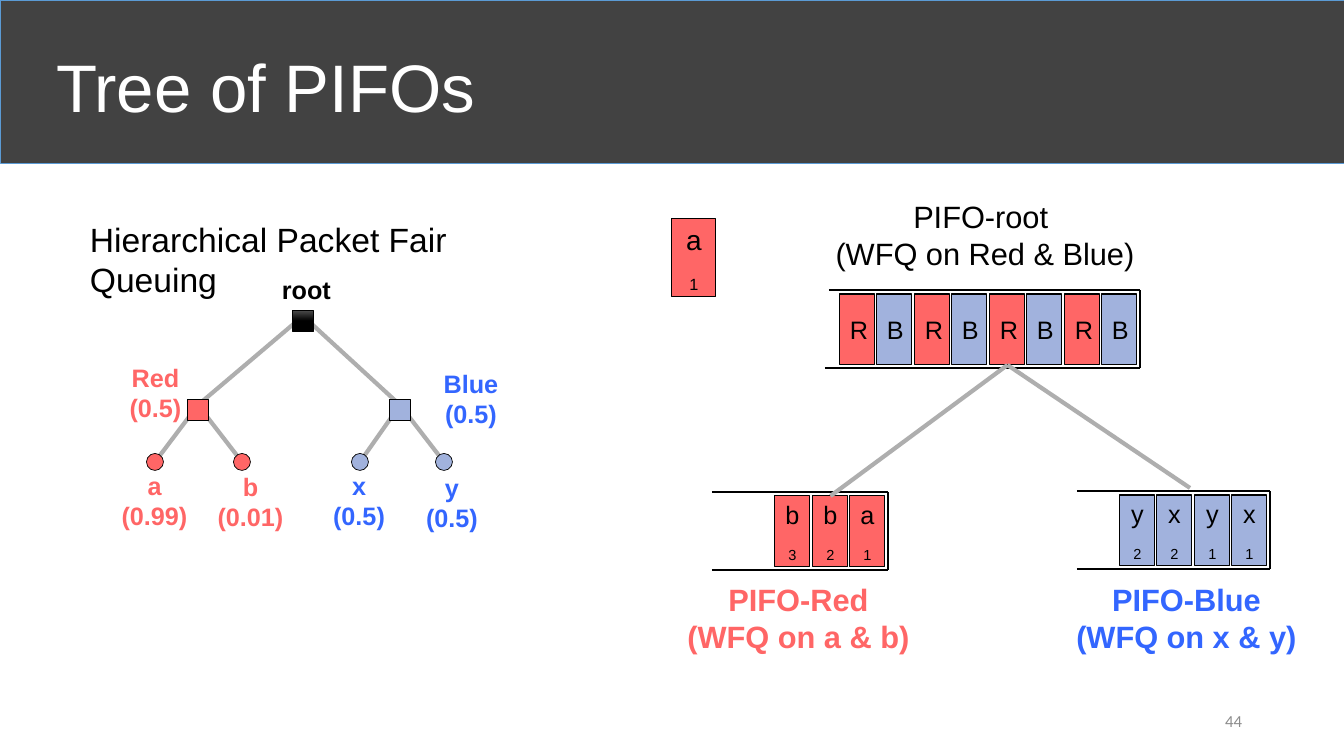
from lxml import etree
from pptx import Presentation
from pptx.dml.color import RGBColor
from pptx.enum.shapes import MSO_CONNECTOR, MSO_SHAPE
from pptx.enum.text import MSO_ANCHOR as Anchor, MSO_AUTO_SIZE as AutoSize, PP_ALIGN as Align
from pptx.oxml.ns import qn
from pptx.util import Emu, Pt

PX = 914400 / 100.8
WHITE = RGBColor(0xFF, 0xFF, 0xFF)
BLACK = RGBColor(0, 0, 0)
CHARCOAL = RGBColor(0x42, 0x42, 0x42)
BAND_EDGE = RGBColor(0x5B, 0x9B, 0xD5)
RED = RGBColor(0xFF, 0x66, 0x66)
PALE_BLUE = RGBColor(0xA1, 0xB2, 0xDD)
BLUE = RGBColor(0x33, 0x66, 0xFF)
LINK_GRAY = RGBColor(0xAE, 0xAE, 0xAE)
NUMBER_GRAY = RGBColor(0x8C, 0x8C, 0x8C)
ROOT_SHEEN = RGBColor(0x4B, 0x4B, 0x4B)

PIFO_HEIGHT = 78
CELL_WIDTH, CELL_HEIGHT = 35, 71


def px(*lengths):
    return [Emu(round(length * PX)) for length in lengths]


def add_run(para, text, size, color, bold=False, font="Arial"):
    span = para.add_run()
    span.text = text
    span.font.name = font
    span.font.size = Pt(size)
    span.font.bold = bold
    span.font.color.rgb = color
    return span


def add_label(page, box, lines, size, color, bold=False, align=Align.CENTER,
              wrap=True, anchor=Anchor.TOP, font="Arial"):
    frame = page.shapes.add_textbox(*px(*box)).text_frame
    frame.word_wrap = wrap
    frame.vertical_anchor = anchor
    for index, line in enumerate(lines):
        para = frame.add_paragraph() if index else frame.paragraphs[0]
        para.alignment = align
        add_run(para, line, size, color, bold)
        para.runs[0].font.name = font


def add_box(page, kind, box, fill, edge=BLACK, width=0.5):
    shape = page.shapes.add_shape(kind, *px(*box))
    shape.shadow.inherit = False
    shape.fill.solid()
    shape.fill.fore_color.rgb = fill
    shape.line.color.rgb = edge
    shape.line.width = Pt(width)
    return shape


def add_line(page, start, end, color, width):
    line = page.shapes.add_connector(MSO_CONNECTOR.STRAIGHT, *px(*start, *end))
    line.line.color.rgb = color
    line.line.width = Pt(width)
    etree.SubElement(line.element.spPr, qn("a:effectLst"))
    return line


def add_cell(page, box, fill, letter, rank="", size=18):
    """A queue entry; its rank is a subscript that wraps below the letter."""
    cell = add_box(page, MSO_SHAPE.RECTANGLE, box, fill, width=0.75)
    frame = cell.text_frame
    frame.word_wrap = True
    frame.vertical_anchor = Anchor.MIDDLE
    para = frame.paragraphs[0]
    para.alignment = Align.CENTER
    add_run(para, letter, size, BLACK)
    if rank:
        span = add_run(para, rank, size, BLACK)
        span.font._element.set("baseline", "-25000")
    return cell


def add_header(page, box, text):
    band = add_box(page, MSO_SHAPE.RECTANGLE, box, CHARCOAL, BAND_EDGE)
    title = page.shapes.title
    title.element.addprevious(band.element)
    left, top, width, height = box
    title.left, title.top, title.width, title.height = px(
        left + 46, top + 13, width - 185, height - 17)
    frame = title.text_frame
    frame.auto_size = AutoSize.NONE
    frame.vertical_anchor = Anchor.MIDDLE
    para = frame.paragraphs[0]
    para.alignment = Align.LEFT
    add_run(para, text, 48, WHITE)


def add_hierarchy(page, box):
    left, top, width, _ = box
    # Centres of the nodes, from the box corner
    root = (left + 223, top + 107)
    branches = [
        ((left + 118, top + 196), RED, [75, 162]),
        ((left + 320, top + 196), PALE_BLUE, [280, 364]),
    ]
    leaf_y = top + 248

    # Edges lie below the nodes
    for (x, y), _, leaves in branches:
        add_line(page, (root[0], root[1] - 5), (x, y - 5), LINK_GRAY, 3)
        for leaf in leaves:
            add_line(page, (x, y - 5), (left + leaf, leaf_y), LINK_GRAY, 3)

    # Nodes
    def node(kind, x, y, size, fill):
        corner = (x - size / 2, y - size / 2, size, size)
        return add_box(page, kind, corner, fill)

    sheen = node(MSO_SHAPE.RECTANGLE, *root, 21, BLACK).fill
    sheen.gradient()
    sheen.gradient_angle = 270
    for stop, color, position in zip(sheen.gradient_stops, (ROOT_SHEEN, BLACK), (0, 0.5)):
        stop.color.rgb = color
        stop.position = position
    for (x, y), fill, leaves in branches:
        node(MSO_SHAPE.RECTANGLE, x, y, 21, fill)
        for leaf in leaves:
            node(MSO_SHAPE.OVAL, left + leaf, leaf_y, 17, fill)

    # Labels
    add_label(page, (left, top, width, 50), ["Hierarchical Packet Fair Queuing"],
              24, BLACK, align=Align.LEFT)
    add_label(page, (left + 192, top + 55, 70, 40), ["root"], 18, BLACK, True,
              Align.LEFT, wrap=False)
    for x, y, label_width, text, color in [(13, 143, 125, "Red (0.5)", RED),
                                           (325, 149, 132, "Blue (0.5)", BLUE)]:
        add_label(page, (left + x, top + y, label_width, 40), [text], 18, color, True)
    for x, y, label_width, name, weight, color in [
            (29, 251, 91, "a", "(0.99)", RED), (126, 252, 89, "b", "(0.01)", RED),
            (241, 251, 76, "x", "(0.5)", BLUE), (334, 253, 76, "y", "(0.5)", BLUE)]:
        add_label(page, (left + x, top + y, label_width, 72), [name, weight], 18,
                  color, True, wrap=False)


def add_pifo(page, box, entries, overhang=0):
    """An open-ended queue, filled from the right; returns its cells."""
    left, top, width, height = box
    right, bottom = left + width, top + height
    add_line(page, (left, top), (right, top), BLACK, 2)
    add_line(page, (left - overhang, bottom), (right, bottom), BLACK, 2)
    add_line(page, (right, bottom), (right, top), BLACK, 2)
    cells = []
    for index, (letter, *rank) in enumerate(entries):
        behind = len(entries) - 1 - index
        x = right - 38 - 75 * behind // 2
        fill = RED if letter in "Rab" else PALE_BLUE
        cells.append(add_cell(page, (x, top + 4, CELL_WIDTH, CELL_HEIGHT), fill,
                              letter, "".join(rank)))
    return cells


def add_pifo_tree(page, box):
    left, top, _, _ = box
    add_cell(page, (left, top + 26, 44, 78), RED, "a", "1", 20)

    # Queues
    root = add_pifo(page, (left + 157, top + 97, 311, PIFO_HEIGHT), "RBRBRBRB", 4)
    red = add_pifo(page, (left + 40, top + 299, 176, PIFO_HEIGHT), ["b3", "b2", "a1"])
    add_pifo(page, (left + 405, top + 298, 193, PIFO_HEIGHT), ["y2", "x2", "y1", "x1"])

    # Links from the root queue to its children
    fork = (left + 336, top + 172)
    for end, target in [((left + 518, top + 295), None), ((left + 158, top + 303), red[1])]:
        link = add_line(page, fork, end, LINK_GRAY, 3)
        link.begin_connect(root[4], 2)
        if target:
            link.end_connect(target, 0)

    # Captions
    for x, y, width, lines, color, bold in [
            (144, 0, 338, ["PIFO-root ", "(WFQ on Red & Blue)"], BLACK, False),
            (-17, 383, 287, ["PIFO-Red", "(WFQ on a & b)"], RED, True),
            (371, 383, 287, ["PIFO-Blue", "(WFQ on x & y)"], BLUE, True)]:
        add_label(page, (left + x, top + y, width, 84), lines, 22, color, bold)


def main():
    deck = Presentation()
    deck.slide_width, deck.slide_height = px(1344, 756)
    page = deck.slides.add_slide(deck.slide_layouts[5])
    add_header(page, (0, 0, 1344, 163), "Tree of PIFOs")
    add_hierarchy(page, (80, 214, 492, 325))
    add_pifo_tree(page, (672, 193, 658, 467))
    add_label(page, (950, 701, 302, 40), ["44"], 12, NUMBER_GRAY, align=Align.RIGHT,
              anchor=Anchor.MIDDLE, font="Calibri")
    deck.save("out.pptx")


if __name__ == "__main__":
    main()
